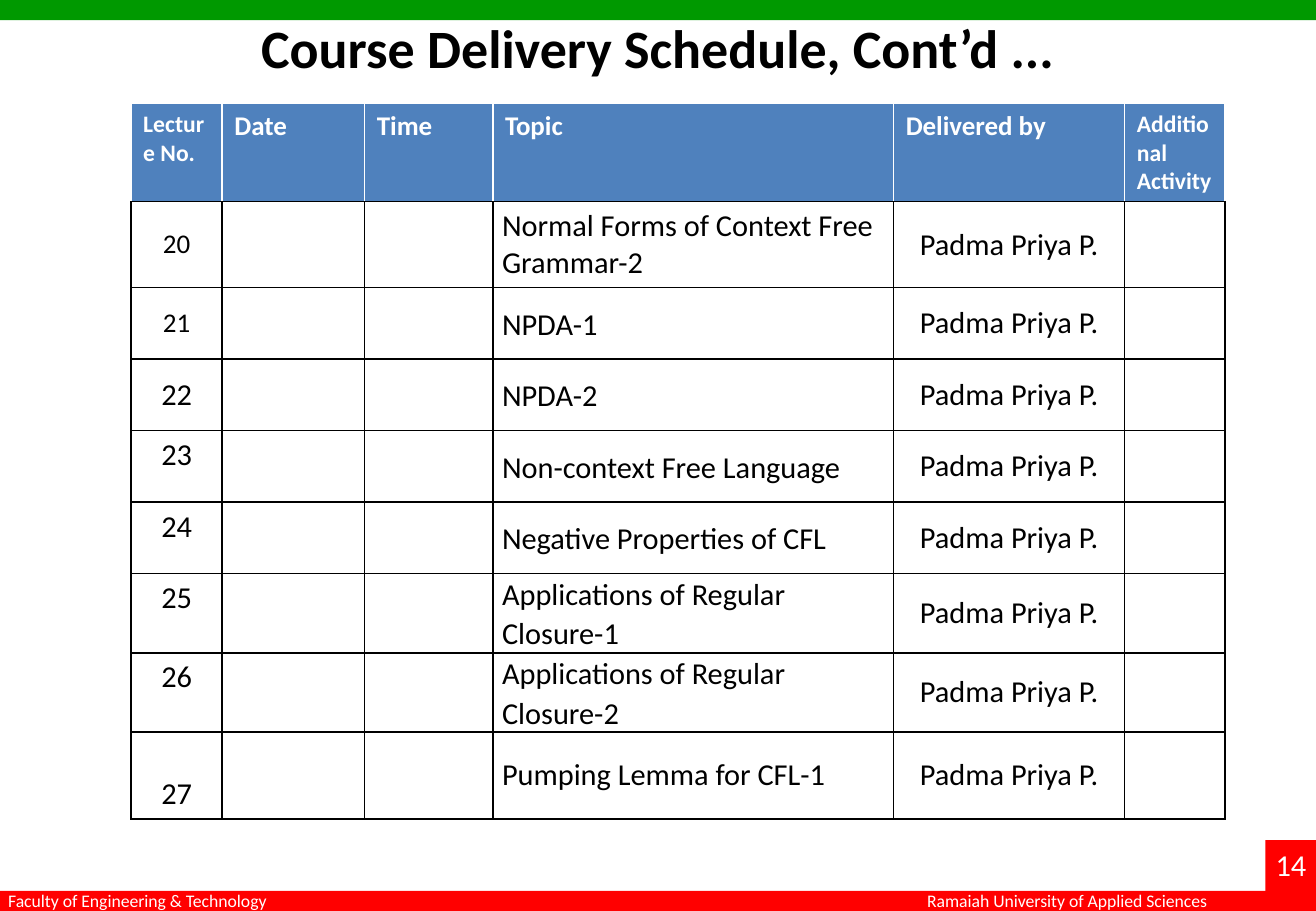
import pptx
import pptx.dml.color
import pptx.enum.shapes
import pptx.enum.text
import pptx.oxml.ns
import pptx.util
from lxml import etree

Pt = pptx.util.Pt
ALIGN = pptx.enum.text.PP_ALIGN
ANCHOR = pptx.enum.text.MSO_ANCHOR
RECTANGLE = pptx.enum.shapes.MSO_SHAPE.RECTANGLE
qn = pptx.oxml.ns.qn

COLOURS = {"green": "009900", "red": "FF0000", "blue": "4F81BD",
           "white": "FFFFFF", "black": "000000"}
WIDTH, HEIGHT, BAND = 780, 540, 12


def colour(name):
    return pptx.dml.color.RGBColor.from_string(COLOURS[name])


class Page:
    """Holds the font and the current slide, and draws each kind of element."""

    def __init__(self, deck, font):
        self.font = font
        self.slide = deck.slides.add_slide(deck.slide_layouts[6])

    def bar(self, left, top, width, height, fill):
        shape = self.slide.shapes.add_shape(
            RECTANGLE, Pt(left), Pt(top), Pt(width), Pt(height))
        shape.shadow.inherit = False
        shape.fill.solid()
        shape.fill.fore_color.rgb = colour(fill)
        shape.line.fill.background()

    def add_text(self, frame, text, size, ink, bold=False, align=ALIGN.LEFT, spacing=None):
        para = frame.paragraphs[0]
        para.alignment = align
        if spacing:
            para.line_spacing = spacing
        span = para.add_run()
        span.text = text
        span.font.name = self.font
        span.font.size = Pt(size)
        span.font.bold = bold
        span.font.color.rgb = colour(ink)

    def text_box(self, left, top, width, height, text, size, ink="white", wrap=False, **style):
        box = self.slide.shapes.add_textbox(Pt(left), Pt(top), Pt(width), Pt(height))
        box.text_frame.word_wrap = wrap
        self.add_text(box.text_frame, text, size, ink, **style)

    def table(self, left, top, widths, heights):
        table = self.slide.shapes.add_table(
            len(heights), len(widths), Pt(left), Pt(top),
            Pt(sum(widths)), Pt(sum(heights))).table
        table.first_row = table.horz_banding = False
        for column, width in zip(table.columns, widths):
            column.width = Pt(width)
        for row, height in zip(table.rows, heights):
            row.height = Pt(height)
        return table

    def cell(self, cell, fill, borders):
        """Borders are colour names in the order left, right, top, bottom."""
        properties = cell._tc.get_or_add_tcPr()
        for side, name in zip("LRTB", borders):
            line = etree.SubElement(properties, qn(f"a:ln{side}"), w=str(Pt(1)))
            solid = etree.SubElement(line, qn("a:solidFill"))
            etree.SubElement(solid, qn("a:srgbClr"), val=COLOURS[name])
        cell.fill.solid()
        cell.fill.fore_color.rgb = colour(fill)


HEADINGS = [("Lecture No.", 14), ("Date", 16), ("Time", 16), ("Topic", 16),
            ("Delivered by", 16), ("Additional Activity", 14)]
COLUMN_WIDTHS = [54, 84.5, 76, 237.5, 137, 59.5]
HEADER_HEIGHT = 58
LECTURER = "Padma Priya P."
FIRST_LECTURE = 20
# Topic, row height, number size, number anchor, topic line spacing
LECTURES = [
    ("Normal Forms of Context Free Grammar-2", 51, 16, ANCHOR.MIDDLE, None),
    ("NPDA-1", 42.4, 16, ANCHOR.MIDDLE, 1.07),
    ("NPDA-2", 42.4, 18, ANCHOR.MIDDLE, 1.07),
    ("Non-context Free Language", 42.4, 18, ANCHOR.TOP, 1.07),
    ("Negative Properties of CFL", 42.4, 18, ANCHOR.TOP, 1.07),
    ("Applications of Regular Closure-1", 47, 18, ANCHOR.TOP, 1.07),
    ("Applications of Regular Closure-2", 47, 18, ANCHOR.TOP, 1.07),
    ("Pumping Lemma for CFL-1", 51.4, 18, ANCHOR.BOTTOM, None),
]


def add_schedule(page):
    heights = [HEADER_HEIGHT] + [lecture[1] for lecture in LECTURES]
    table = page.table(77.7, 61.5, COLUMN_WIDTHS, heights)

    # Header row
    for column, (heading, size) in enumerate(HEADINGS):
        cell = table.cell(0, column)
        page.cell(cell, "blue", ["white", "white", "white", "black"])
        page.add_text(cell.text_frame, heading, size, "white", bold=True)

    # Lecture rows
    for row, (topic, _, size, anchor, spacing) in enumerate(LECTURES, 1):
        cells = [table.cell(row, column) for column in range(len(HEADINGS))]
        for cell in cells:
            page.cell(cell, "white", ["black"] * 4)
        number, topic_cell, lecturer = cells[0], cells[3], cells[4]
        number.vertical_anchor = anchor
        topic_cell.vertical_anchor = lecturer.vertical_anchor = ANCHOR.MIDDLE
        topic_cell.margin_left = topic_cell.margin_right = Pt(5.4)
        topic_cell.margin_top = topic_cell.margin_bottom = Pt(0)
        page.add_text(number.text_frame, str(FIRST_LECTURE + row - 1), size, "black",
                      align=ALIGN.CENTER)
        page.add_text(topic_cell.text_frame, topic, 18, "black", spacing=spacing)
        page.add_text(lecturer.text_frame, LECTURER, 18, "black", align=ALIGN.CENTER)


def main():
    deck = pptx.Presentation()
    deck.slide_width, deck.slide_height = Pt(WIDTH), Pt(HEIGHT)
    page = Page(deck, "Calibri")

    # Bands, footer and page number
    page.bar(0, 0, WIDTH, BAND, "green")
    page.bar(0, HEIGHT - BAND, WIDTH, BAND, "red")
    page.text_box(542.5, 524, 184, 20, "Ramaiah University of Applied Sciences", 10.5)
    page.bar(750, 498, 30, 42, "red")
    page.text_box(749, 498, 36, 29, "14", 18)
    page.text_box(-2.2, 524, 171, 20, "Faculty of Engineering & Technology", 10.5)

    # Title
    page.text_box(39, 5, 702, 45, "Course Delivery Schedule, Cont’d ...", 32, "black",
                  wrap=True, bold=True, align=ALIGN.CENTER)

    # Schedule
    add_schedule(page)
    deck.save("out.pptx")


if __name__ == "__main__":
    main()
